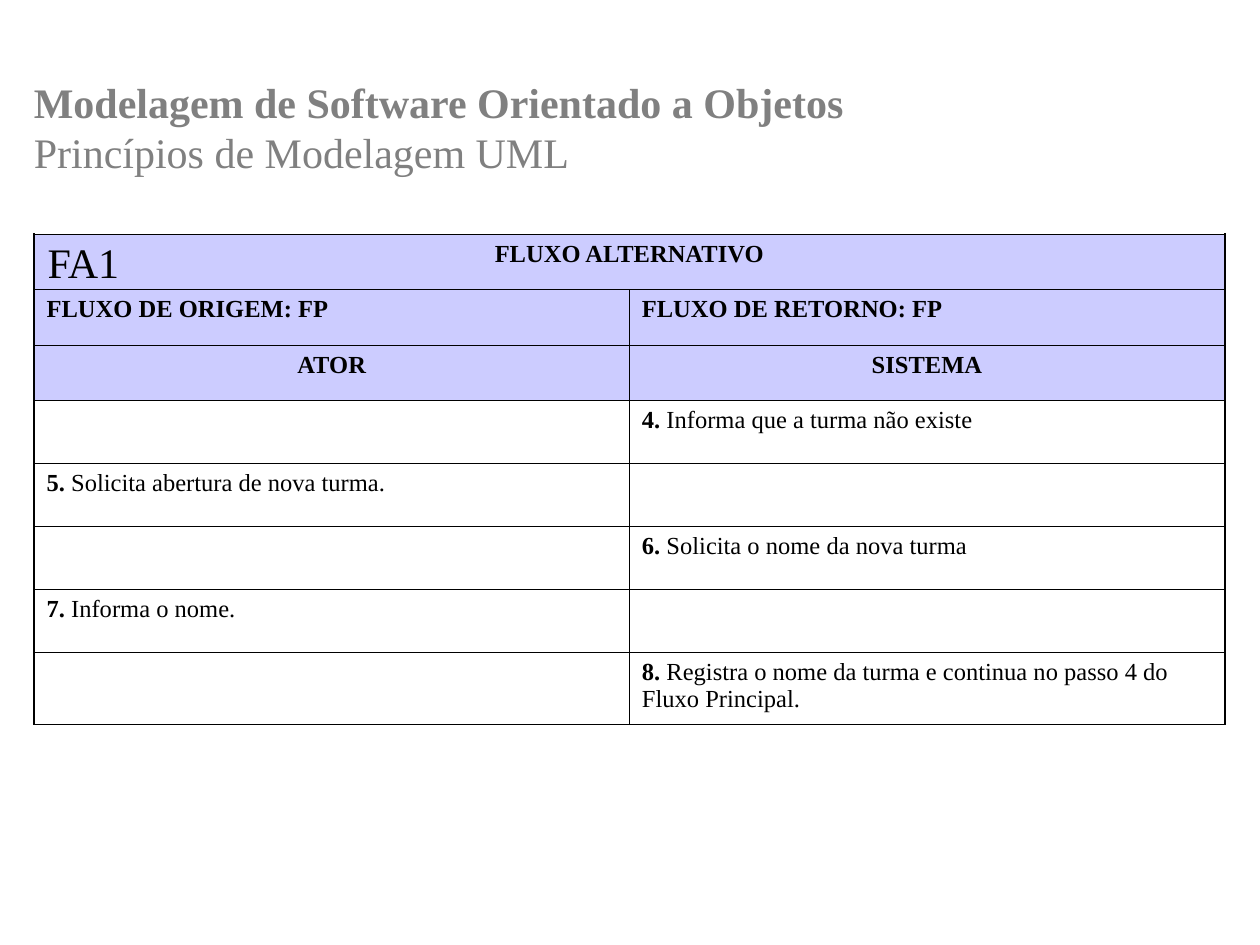
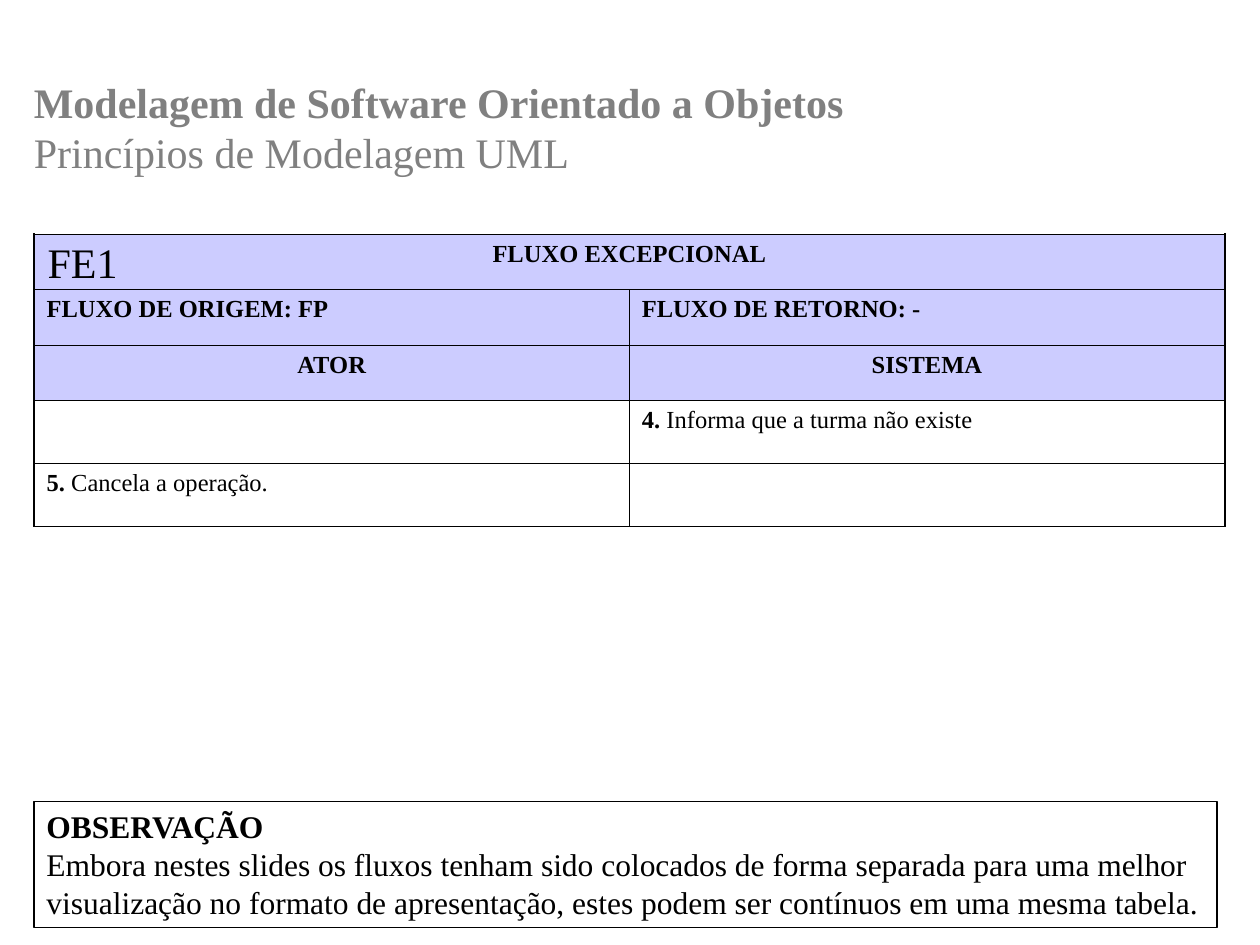
from lxml import etree
from pptx import Presentation
from pptx.dml.color import RGBColor
from pptx.enum import shapes, text
from pptx.oxml import ns
from pptx.util import Inches, Pt

INK = {"title": "808080", "text": "000000", "line": "000000",
       "head": "CCCCFF", "body": "FFFFFF"}
FONT = "Times New Roman"
THIN, THICK = 0.45, 1.08
HEADS = 3
ROW_H, STEP_H = 0.44, 0.5
TITLE = (0.17, 0.42, 8.33, 1.17)
GRID = (0.27, 1.86, 9.45)
NOTE = (0.27, 6.36, 9.39, 1)

# Each step is (column, number, wording); column 0 is the actor, 1 the system
ALT = dict(tag="FA1", name="FLUXO ALTERNATIVO", back="FP", last=0.57, steps=[
    (1, "4.", "Informa que a turma não existe"),
    (0, "5.", "Solicita abertura de nova turma."),
    (1, "6.", "Solicita o nome da nova turma"),
    (0, "7.", "Informa o nome."),
    (1, "8.", "Registra o nome da turma e continua no passo 4 do "
              "Fluxo Principal."),
])
EXC = dict(tag="FE1", name="FLUXO EXCEPCIONAL", back="-", last=STEP_H, steps=[
    (1, "4.", "Informa que a turma não existe"),
    (0, "5.", "Cancela a operação."),
])


def color(key):
    return RGBColor.from_string(INK[key])


def style(run, size, key="text", bold=False):
    font = run.font
    font.name, font.size, font.bold = FONT, Pt(size), bold
    font.color.rgb = color(key)


def place(box):
    return [Inches(n) for n in box]


# Title in two lines
def add_title(slide, box):
    frame = slide.shapes.add_textbox(*place(box)).text_frame
    frame.word_wrap = True
    frame.vertical_anchor = text.MSO_ANCHOR.MIDDLE
    para = frame.paragraphs[0]
    para.text = "Modelagem de Software Orientado a Objetos\vPrincípios de Modelagem UML"
    for run, bold in zip(para.runs, (True, False)):
        style(run, 24, "title", bold)


# Cell borders: heavier around the outside of the table
def add_edges(cell, outer):
    props = cell._tc.get_or_add_tcPr()
    for side in "LRTB":
        width = THICK if side in outer else THIN
        line = etree.SubElement(props, ns.qn("a:ln" + side), w=str(Pt(width)))
        fill = etree.SubElement(line, ns.qn("a:solidFill"))
        etree.SubElement(fill, ns.qn("a:srgbClr"), val=INK["line"])


def fill_cell(cell, label, rest="", center=False):
    para = cell.text_frame.paragraphs[0]
    para.text = label
    para.space_before = Pt(3.5)
    if center:
        para.alignment = text.PP_ALIGN.CENTER
    style(para.runs[0], 14, bold=True)
    if rest:
        run = para.add_run()
        run.text = " " + rest
        style(run, 14)


# Table of one flow, with its tag in the top left corner
def add_flow(slide, box, flow):
    left, top, width = box
    steps = flow["steps"]
    highs = [ROW_H] * HEADS + [STEP_H] * (len(steps) - 1) + [flow["last"]]
    frame = slide.shapes.add_table(len(highs), 2,
                                   *place((left, top, width, sum(highs))))
    grid = frame.table
    for row, high in enumerate(highs):
        grid.rows[row].height = Inches(high)
        for col in range(2):
            cell = grid.cell(row, col)
            outer = "LR"[col]
            if row == 0:
                outer = "LRT"
            elif row == len(highs) - 1:
                outer += "B"
            add_edges(cell, outer)
            cell.fill.solid()
            cell.fill.fore_color.rgb = color("head" if row < HEADS else "body")

    grid.cell(0, 0).merge(grid.cell(0, 1))
    fill_cell(grid.cell(0, 0), flow["name"], center=True)
    fill_cell(grid.cell(1, 0), "FLUXO DE ORIGEM: FP")
    fill_cell(grid.cell(1, 1), "FLUXO DE RETORNO: " + flow["back"])
    for col, role in enumerate(("ATOR", "SISTEMA")):
        fill_cell(grid.cell(2, col), role, center=True)
    for row, (col, num, words) in enumerate(steps, HEADS):
        fill_cell(grid.cell(row, col), num, words)

    tag = slide.shapes.add_textbox(*place((left + 0.01, top - 0.03, 0.77, 0.5)))
    tag.text_frame.text = flow["tag"]
    tag.text_frame.word_wrap = False
    style(tag.text_frame.paragraphs[0].runs[0], 24)


# Framed remark
def add_note(slide, box):
    note = slide.shapes.add_shape(shapes.MSO_SHAPE.RECTANGLE, *place(box))
    note.shadow.inherit = False
    note.fill.solid()
    note.fill.fore_color.rgb = color("body")
    note.line.color.rgb = color("line")
    note.line.width = Pt(0.75)
    frame = note.text_frame
    frame.word_wrap = True
    frame.vertical_anchor = text.MSO_ANCHOR.TOP
    frame.text = ("OBSERVAÇÃO\n"
                  "Embora nestes slides os fluxos tenham sido colocados de forma "
                  "separada para uma melhor visualização no formato de "
                  "apresentação, estes podem ser contínuos em uma mesma tabela.")
    for para, bold in zip(frame.paragraphs, (True, False)):
        para.alignment = text.PP_ALIGN.LEFT
        style(para.runs[0], 18, bold=bold)


def add_page(deck, flow):
    slide = deck.slides.add_slide(deck.slide_layouts[6])
    add_title(slide, TITLE)
    add_flow(slide, GRID, flow)
    return slide


def main():
    deck = Presentation()
    deck.slide_width, deck.slide_height = Inches(10), Inches(7.5)
    add_page(deck, ALT)
    add_note(add_page(deck, EXC), NOTE)
    deck.save("out.pptx")


if __name__ == "__main__":
    main()
